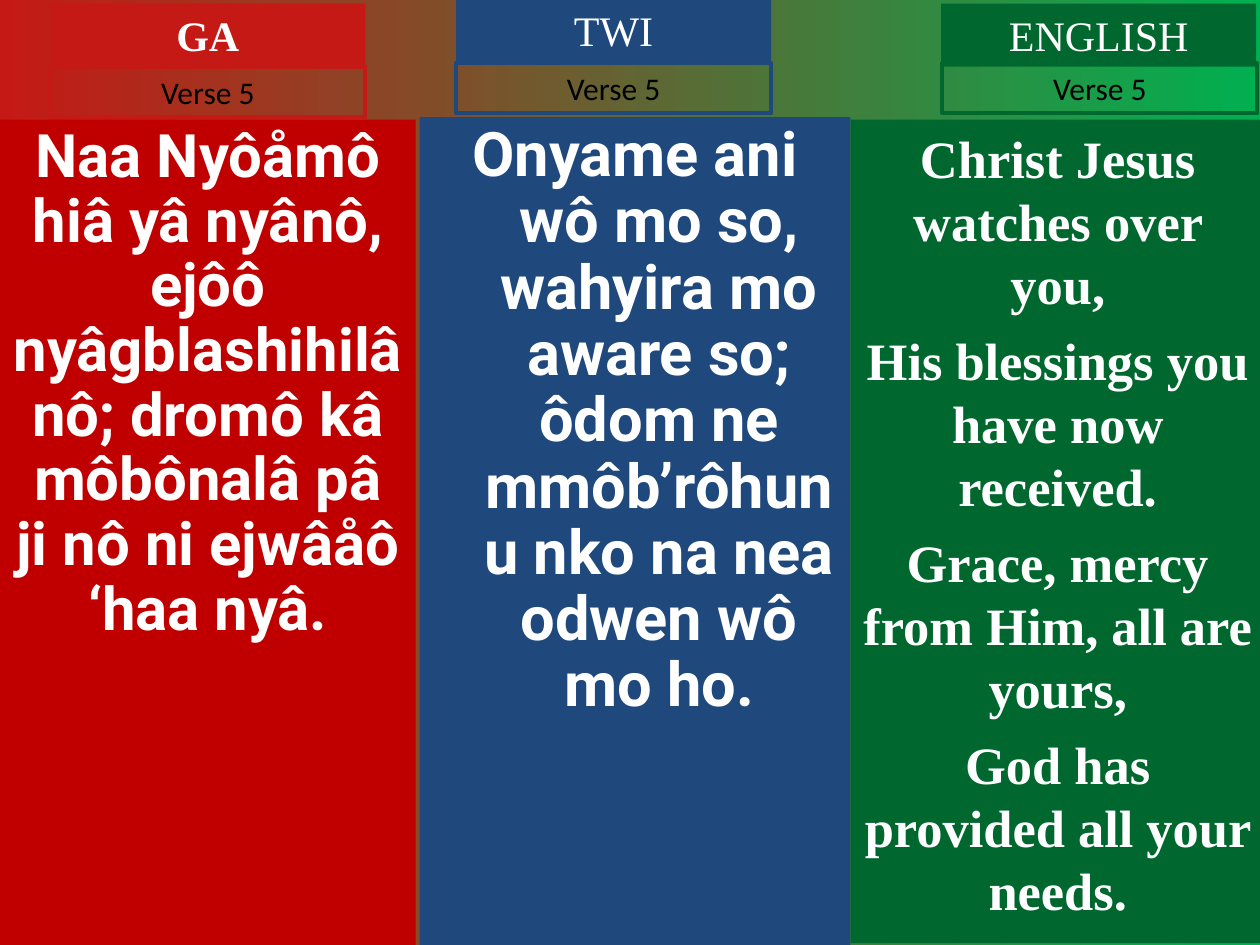
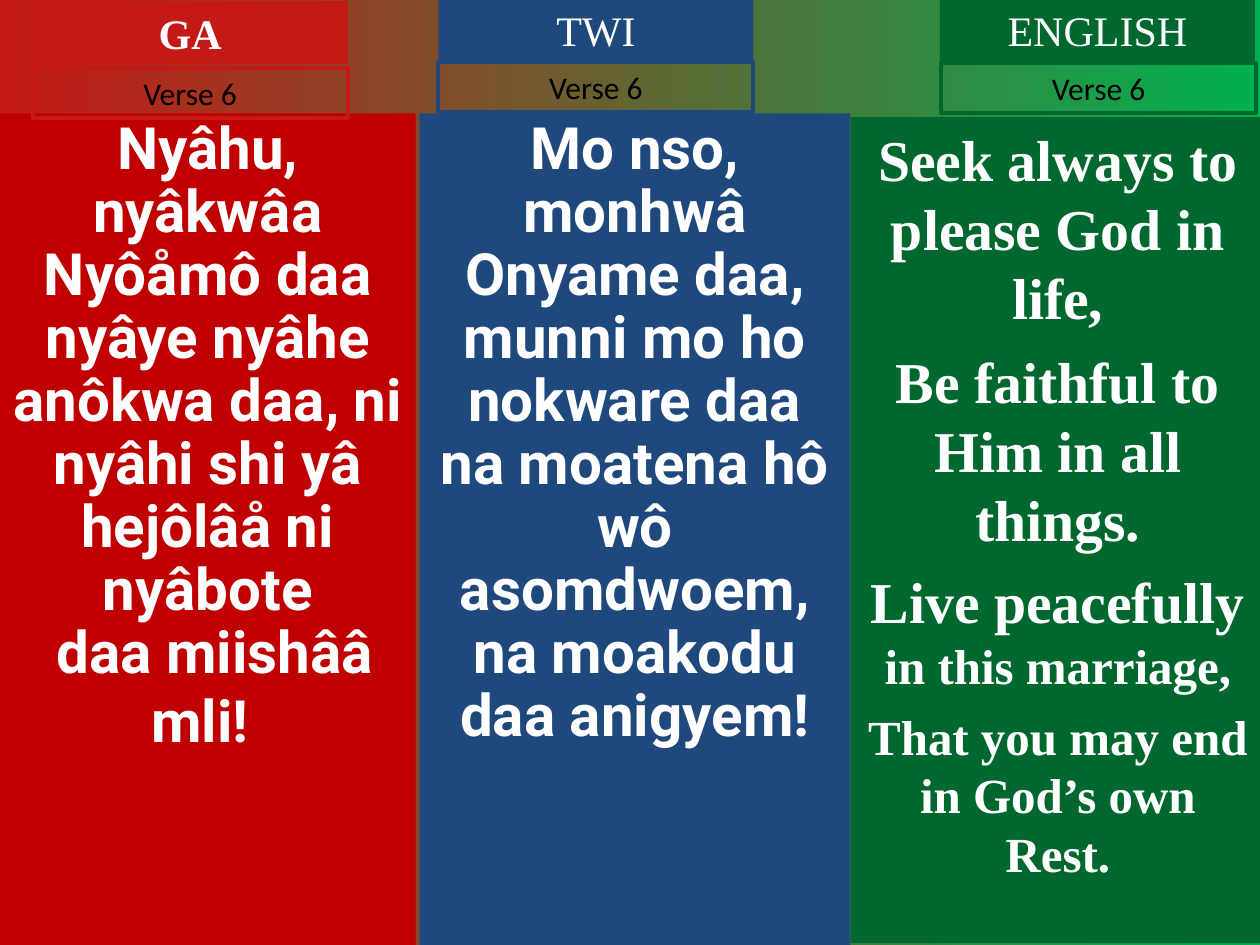
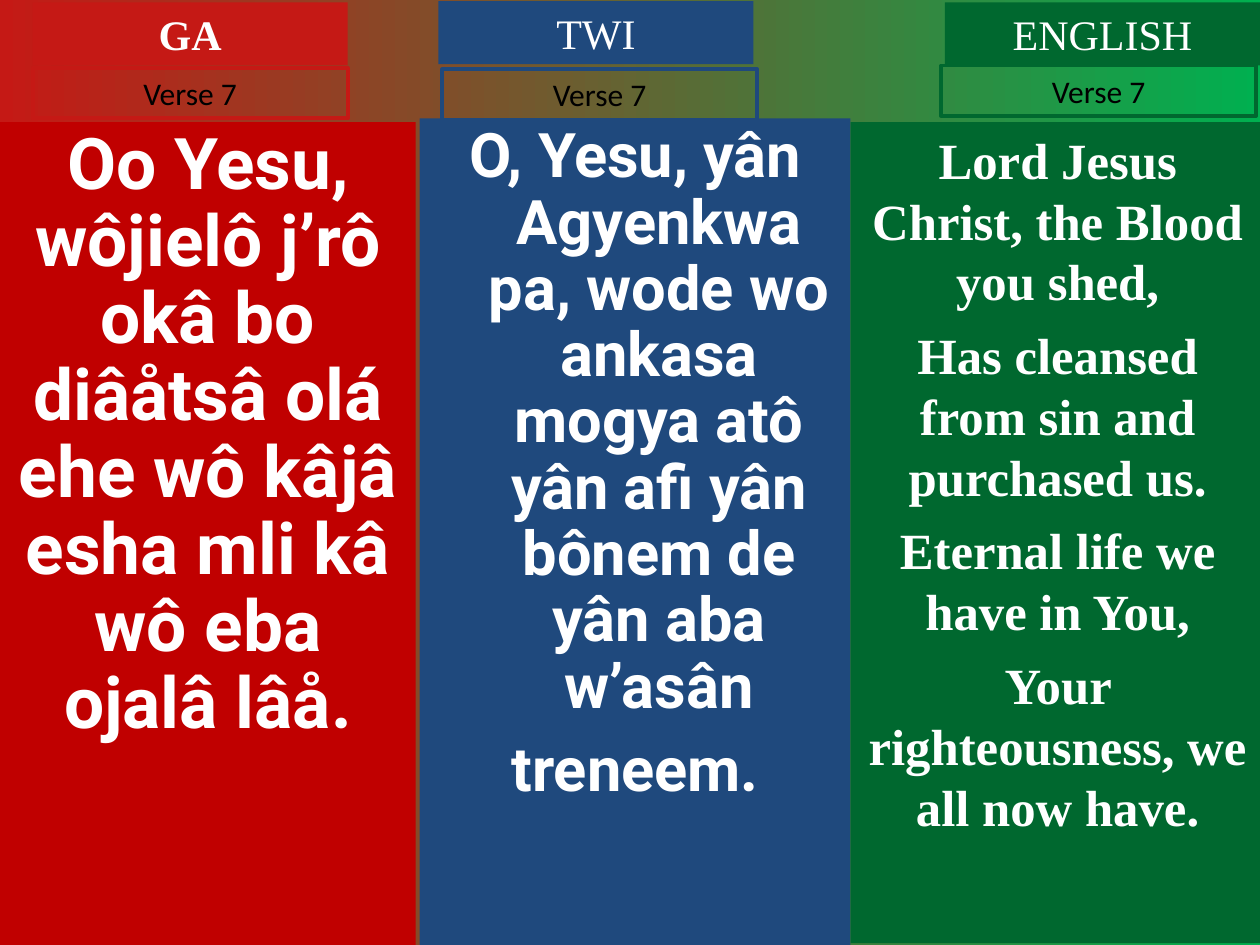
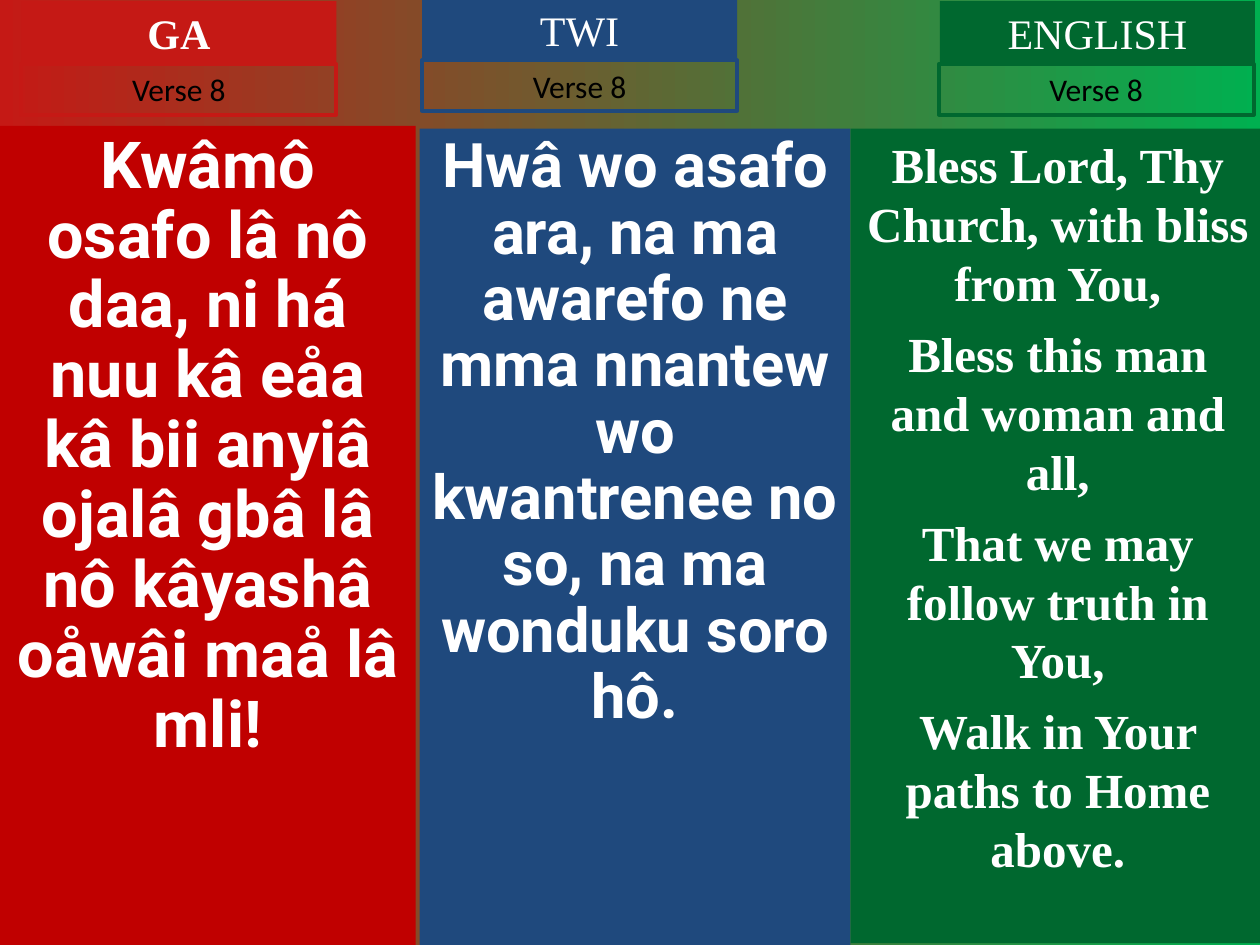
from dataclasses import dataclass

import pptx
import pptx.dml.color
import pptx.enum.shapes
import pptx.enum.text
import pptx.util


@dataclass(frozen=True)
class Theme:
    sky_start: str = "C51915"
    sky_end: str = "00B050"
    white: str = "FFFFFF"
    black: str = "000000"
    heading_font: str = "Times New Roman"
    verse_font: str = "Calibri"
    heading_size: float = 24
    verse_size: float = 18
    outline: float = 2.25
    margins: tuple = (1, 0.5)


@dataclass(frozen=True)
class Language:
    name: str
    left: float
    width: float
    bottom: float
    panel: str
    accent: str
    lyric_font: str
    line_spacing: float
    gap_ratio: float
    bold_heading: bool = False


@dataclass(frozen=True)
class Stanza:
    top: float
    size: float
    lines: tuple
    heading_at: tuple
    verse_at: tuple
    hanging: float = 0
    spaced: bool = True


THEME = Theme()
COLUMNS, ROWS = 100, 75
CELL = pptx.util.Inches(0.1)
LABEL_WIDTH, HEADING_HEIGHT, VERSE_HEIGHT = 25, 5, 4

LANGUAGES = (
    Language("GA", 0, 33, ROWS, "C00000", "C51915", "Roboto", 0.9, 0.27, True),
    Language("TWI", 33.3, 34.2, ROWS, "1F497D", "1F497D", "Roboto", 0.9, 0.27),
    Language("ENGLISH", 67.5, 32.9, 74.85, "00682F", "00682F", "Times New Roman", 1, 0.25),
)

HYMN = {
    "Verse 5": (
        Stanza(9.5, 34.2, (
            "Naa Nyôåmô hiâ yâ nyânô, ejôô nyâgblashihilâ nô; dromô kâ "
            "môbônalâ pâ ji nô ni ejwâåô ‘haa nyâ.",
        ), (4, 0.3), (4, 5.3)),
        Stanza(9.3, 35.1, (
            "Onyame ani wô mo so, wahyira mo aware so; ôdom ne "
            "mmôb’rôhunu nko na nea odwen wô mo ho.",
        ), (36.2, -0.1), (36.2, 5), hanging=3.8),
        Stanza(9.5, 30, (
            "Christ Jesus watches over you,",
            "His blessings you have now received.",
            "Grace, mercy from Him, all are yours,",
            "God has provided all your needs.",
        ), (74.7, 0.3), (74.8, 5)),
    ),
    "Verse 6": (
        Stanza(9, 33.3, (
            "Nyâhu, nyâkwâa Nyôåmô daa nyâye nyâhe anôkwa daa, ni nyâhi "
            "shi yâ hejôlâå ni nyâbote",
            ((" daa miishââ mli!", 33.3), (" ", 37)),
        ), (2.6, 0.1), (2.6, 5.4), spaced=False),
        Stanza(9, 33.3, (
            "Mo nso, monhwâ Onyame daa, munni mo ho nokware daa na moatena "
            "hô wô asomdwoem, na moakodu daa anigyem!",
        ), (34.8, -0.1), (34.8, 4.9)),
        Stanza(9.3, 33, (
            "Seek always to please God in life,",
            "Be faithful to Him in all things.",
            (("Live peacefully ", 33), ("in this marriage,", 28)),
            (("That you may end in God’s own Rest.", 28),),
        ), (74.6, -0.1), (74.7, 5)),
    ),
    "Verse 7": (
        Stanza(9.7, 40.7, (
            "Oo Yesu, wôjielô j’rô okâ bo diâåtsâ olá ehe wô kâjâ esha "
            "mli kâ wô eba ojalâ lâå.",
        ), (2.6, 0.2), (2.6, 5.4)),
        Stanza(9.4, 35.1, (
            "O, Yesu, yân Agyenkwa pa, wode wo ankasa mogya atô yân afi "
            "yân bônem de yân aba w’asân",
            "treneem.",
        ), (34.8, 0.1), (35.1, 5.5), hanging=3.8),
        Stanza(9.7, 29, (
            "Lord Jesus Christ, the Blood you shed,",
            "Has cleansed from sin and purchased us.",
            "Eternal life we have in You,",
            "Your righteousness, we all now have.",
        ), (75, 0.2), (74.7, 5.2)),
    ),
    "Verse 8": (
        Stanza(10, 37, (
            "Kwâmô osafo lâ nô daa, ni há nuu kâ eåa kâ bii anyiâ ojalâ "
            "gbâ lâ nô kâyashâ oåwâi maå lâ mli!",
        ), (1.7, 0.1), (1.7, 5.1)),
        Stanza(10.2, 35.1, (
            "Hwâ wo asafo ara, na ma awarefo ne mma nnantew wo kwantrenee "
            "no so, na ma wonduku soro hô.",
        ), (33.5, -0.1), (33.5, 4.8)),
        Stanza(10.2, 28, (
            "Bless Lord, Thy Church, with bliss from You,",
            "Bless this man and woman and all,",
            "That we may follow truth in You,",
            "Walk in Your paths to Home above.",
        ), (74.6, 0.1), (74.5, 5.1)),
    ),
}


def cells(count):
    return int(count * CELL)


def rgb(code):
    return pptx.dml.color.RGBColor.from_string(code)


def paint_background(slide):
    fill = slide.background.fill
    fill.gradient()
    fill.gradient_angle = 0
    for stop, color, position in zip(
        fill.gradient_stops, (THEME.sky_start, THEME.sky_end), (0, 1)
    ):
        stop.color.rgb = rgb(color)
        stop.position = position


def add_box(slide, left, top, width, height, fill=None, line=None):
    box = slide.shapes.add_shape(
        pptx.enum.shapes.MSO_SHAPE.RECTANGLE, *map(cells, (left, top, width, height))
    )
    box.shadow.inherit = False
    if fill:
        box.fill.solid()
        box.fill.fore_color.rgb = rgb(fill)
    else:
        box.fill.background()
    if line:
        box.line.color.rgb = rgb(line)
        box.line.width = pptx.util.Pt(THEME.outline)
    else:
        box.line.fill.background()
    frame = box.text_frame
    frame.word_wrap = True
    frame.vertical_anchor = pptx.enum.text.MSO_ANCHOR.TOP
    side, edge = map(cells, THEME.margins)
    frame.margin_left = frame.margin_right = side
    frame.margin_top = frame.margin_bottom = edge
    return frame


def style(paragraph, font, size, color, bold=False):
    paragraph.alignment = pptx.enum.text.PP_ALIGN.CENTER
    paragraph.font.name = font
    paragraph.font.size = pptx.util.Pt(size)
    paragraph.font.bold = bold
    paragraph.font.color.rgb = rgb(color)


def add_label(slide, text, at, height, font, size, color, bold=False, **paint):
    frame = add_box(slide, *at, LABEL_WIDTH, height, **paint)
    frame.auto_size = pptx.enum.text.MSO_AUTO_SIZE.SHAPE_TO_FIT_TEXT
    paragraph = frame.paragraphs[0]
    paragraph.add_run().text = text
    style(paragraph, font, size, color, bold)


def add_lyrics(slide, language, stanza):
    frame = add_box(
        slide, language.left, stanza.top, language.width,
        language.bottom - stanza.top, fill=language.panel,
    )
    for index, line in enumerate(stanza.lines):
        paragraph = frame.add_paragraph() if index else frame.paragraphs[0]
        pieces = ((line, stanza.size),) if isinstance(line, str) else line
        sizes = {size for _, size in pieces}
        closing_size = pieces[-1][1]
        if stanza.hanging:
            properties = paragraph._p.get_or_add_pPr()
            properties.set("marL", str(cells(stanza.hanging)))
            properties.set("indent", str(-cells(stanza.hanging)))
        paragraph.line_spacing = language.line_spacing
        if index and stanza.spaced:
            paragraph.space_before = pptx.util.Pt(
                round(closing_size * language.gap_ratio, 1)
            )
        for text, size in pieces:
            run = paragraph.add_run()
            run.text = text
            if len(sizes) > 1:
                run.font.size = pptx.util.Pt(size)
        style(paragraph, language.lyric_font, pieces[0][1], THEME.white, True)


def add_language(slide, language, stanza, verse):
    add_lyrics(slide, language, stanza)
    add_label(
        slide, language.name, stanza.heading_at, HEADING_HEIGHT,
        THEME.heading_font, THEME.heading_size, THEME.white,
        language.bold_heading, fill=language.accent,
    )
    add_label(
        slide, verse, stanza.verse_at, VERSE_HEIGHT,
        THEME.verse_font, THEME.verse_size, THEME.black, line=language.accent,
    )


def main():
    deck = pptx.Presentation()
    deck.slide_width, deck.slide_height = cells(COLUMNS), cells(ROWS)
    for verse, stanzas in HYMN.items():
        slide = deck.slides.add_slide(deck.slide_layouts[6])
        paint_background(slide)
        for language, stanza in zip(LANGUAGES, stanzas):
            add_language(slide, language, stanza, verse)
    deck.save("out.pptx")


if __name__ == "__main__":
    main()
